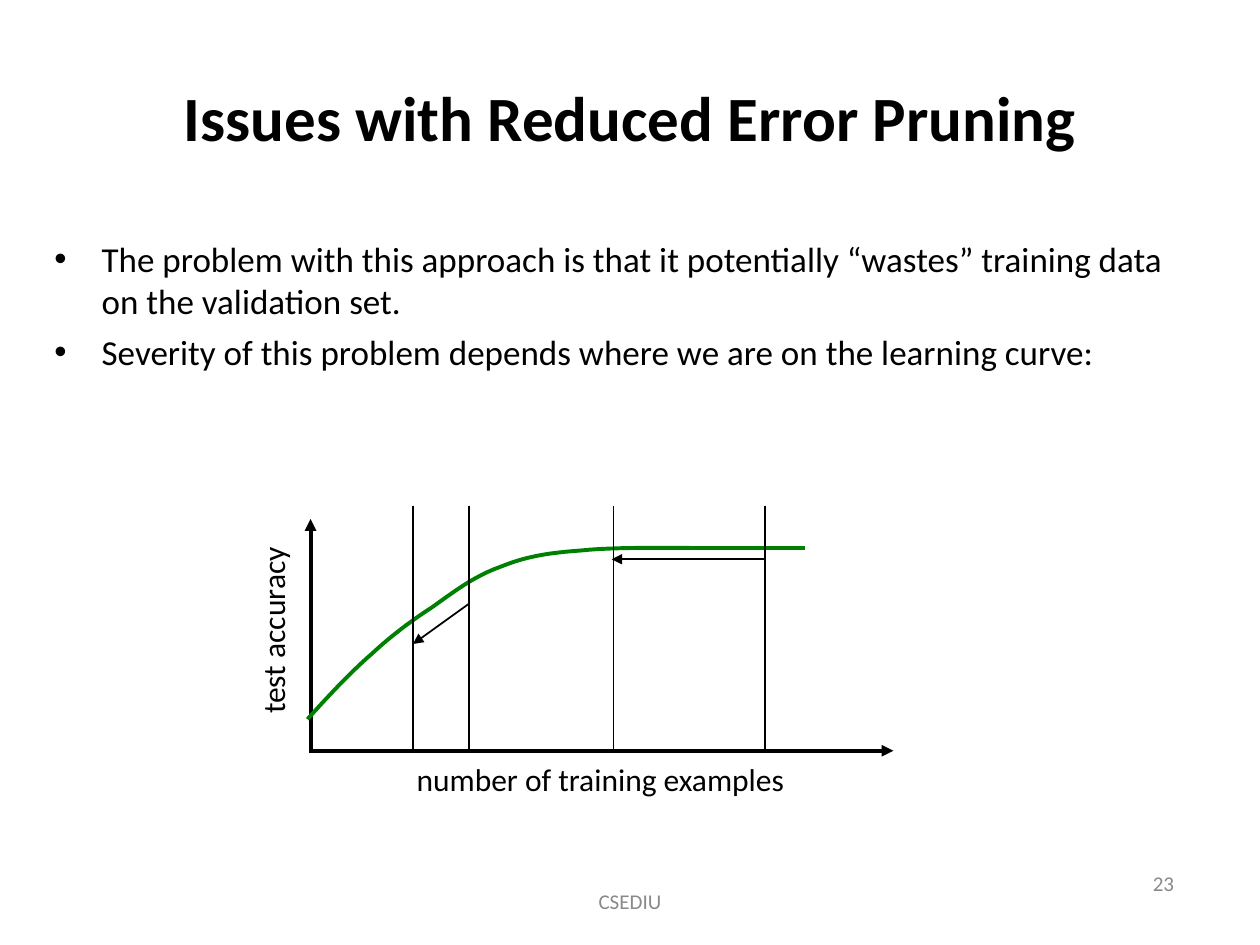
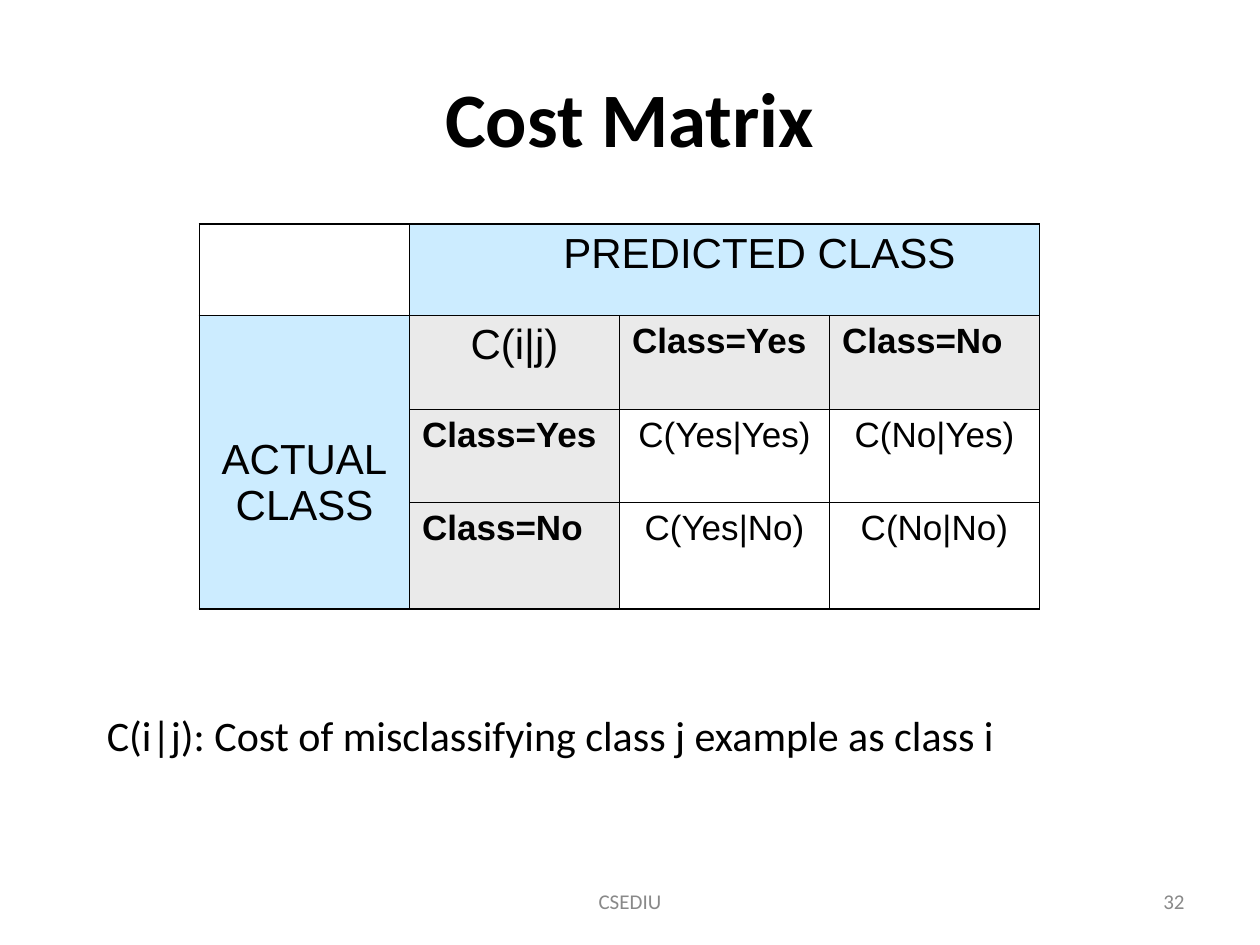
from dataclasses import dataclass
from typing import Optional

from lxml import etree
from pptx import Presentation
from pptx import util as u
from pptx.dml import color
from pptx.enum import shapes, text
from pptx.oxml import ns

Pt = u.Pt
RGB = color.RGBColor.from_string
ALIGN = text.PP_ALIGN
MIDDLE = text.MSO_ANCHOR.MIDDLE
NO_STYLE = "{2D5ABB26-0587-4C30-8999-92F81FD0307C}"


@dataclass(frozen=True)
class Theme:
    ink: str = "000000"
    muted: str = "898989"
    curve: str = "008000"
    band: str = "CCECFF"
    header: str = "EAEAEA"
    body_font: str = "Calibri"
    table_font: str = "Arial"
    title: float = 44
    long_title: float = 36
    large: float = 24
    body: float = 20
    axis: float = 18
    footer: float = 12
    thick: float = 2.25
    thin: float = 1
    frame: float = 1.08
    grid: float = 0.45


T = Theme()


@dataclass(frozen=True)
class Box:
    x: float
    y: float
    w: float
    h: float

    def emu(self) -> tuple:
        return Pt(self.x), Pt(self.y), Pt(self.w), Pt(self.h)


@dataclass(frozen=True)
class Line:
    x1: float
    y1: float
    x2: float
    y2: float
    width: float = T.thin
    arrow: bool = False


@dataclass(frozen=True)
class Entry:
    row: int
    col: int
    words: str
    size: float = T.body
    bold: bool = False
    align: ALIGN = ALIGN.CENTER
    fill: Optional[str] = None
    left: float = 7.2
    top: float = 3.6


TITLE = Box(36, 21.6, 648, 90)
FOOTER = Box(246, 500.4, 228, 28.8)


def add_xml(parent, tag: str, **attrs: str):
    return etree.SubElement(parent, ns.qn(tag), attrs)


def write(tf, words: str, *, size: float, font: str = T.body_font, ink: str = T.ink,
          bold: bool = False, align: ALIGN = ALIGN.LEFT, gap: float = 0,
          bullet: str = "", hang: float = 0) -> None:
    for i, line in enumerate(words.split("\n")):
        p = tf.paragraphs[0] if i == 0 else tf.add_paragraph()
        p.text = line
        p.alignment = align
        p.space_before = Pt(gap if i else 0)
        if bullet:
            ppr = p._p.get_or_add_pPr()
            ppr.set("marL", str(Pt(hang)))
            ppr.set("indent", str(-Pt(hang)))
            add_xml(ppr, "a:buFont", typeface="Arial")
            add_xml(ppr, "a:buChar", char=bullet)
        for r in p.runs:
            r.font.name, r.font.size, r.font.bold = font, Pt(size), bold
            r.font.color.rgb = RGB(ink)


def add_text(s, box: Box, words: str, *, wrap: bool = True, anchor=None,
             turn: float = 0, **style) -> None:
    sp = s.shapes.add_textbox(*box.emu())
    sp.rotation = turn
    tf = sp.text_frame
    tf.word_wrap = wrap
    if not wrap:
        tf.auto_size = text.MSO_AUTO_SIZE.SHAPE_TO_FIT_TEXT
    if anchor is not None:
        tf.vertical_anchor = anchor
    write(tf, words, **style)


def add_line(s, line: Line) -> None:
    c = s.shapes.add_connector(shapes.MSO_CONNECTOR.STRAIGHT, Pt(line.x1), Pt(line.y1),
                               Pt(line.x2), Pt(line.y2))
    c.line.width = Pt(line.width)
    c.line.color.rgb = RGB(T.ink)
    if line.arrow:
        add_xml(c.line._get_or_add_ln(), "a:tailEnd", type="triangle")
    add_xml(c._element.spPr, "a:effectLst")


def bezier(p0, p1, p2, p3, steps: int = 12) -> list:
    points = []
    for i in range(1, steps + 1):
        t = i / steps
        weights = (1 - t) ** 3, 3 * t * (1 - t) ** 2, 3 * t ** 2 * (1 - t), t ** 3
        points.append(tuple(Pt(sum(k * p[axis] for k, p in zip(weights, (p0, p1, p2, p3))))
                            for axis in (0, 1)))
    return points


def add_curve(s, knots: list) -> None:
    points = []
    for i in range(0, len(knots) - 1, 3):
        points += bezier(*knots[i:i + 4])
    builder = s.shapes.build_freeform(Pt(knots[0][0]), Pt(knots[0][1]))
    builder.add_line_segments(points, close=False)
    sp = builder.convert_to_shape()
    sp.shadow.inherit = False
    sp.fill.background()
    sp.line.color.rgb = RGB(T.curve)
    sp.line.width = Pt(T.thick)


def new_slide(prs, title: str, size: float, number: str, number_box: Box):
    s = prs.slides.add_slide(prs.slide_layouts[5])
    sp = s.shapes.title
    sp.left, sp.top, sp.width, sp.height = TITLE.emu()
    tf = sp.text_frame
    tf.auto_size = text.MSO_AUTO_SIZE.NONE
    tf.vertical_anchor = MIDDLE
    write(tf, title, size=size, bold=True, align=ALIGN.CENTER)
    for box, words, align in ((FOOTER, "CSEDIU", ALIGN.CENTER),
                              (number_box, number, ALIGN.RIGHT)):
        add_text(s, box, words, anchor=MIDDLE, size=T.footer, ink=T.muted, align=align)
    return s


def set_borders(cell, row: int, col: int, rows: int, cols: int) -> None:
    height = cell.span_height if cell.is_merge_origin else 1
    width = cell.span_width if cell.is_merge_origin else 1
    outer = {"L": col == 0, "R": col + width == cols, "T": row == 0, "B": row + height == rows}
    tcpr = cell._tc.get_or_add_tcPr()
    for side, on_frame in outer.items():
        ln = add_xml(tcpr, f"a:ln{side}", w=str(Pt(T.frame if on_frame else T.grid)))
        add_xml(add_xml(ln, "a:solidFill"), "a:srgbClr", val=T.ink)


def add_cost_table(s, box: Box, heights: list, cols: int, entries: list) -> None:
    rows = len(heights)
    tbl = s.shapes.add_table(rows, cols, *box.emu()).table
    tbl.first_row = tbl.horz_banding = False
    tbl._tbl.tblPr.find(ns.qn("a:tableStyleId")).text = NO_STYLE
    for row, height in zip(tbl.rows, heights):
        row.height = Pt(height)
    for column in tbl.columns:
        column.width = Pt(box.w / cols)
    tbl.cell(0, 1).merge(tbl.cell(0, cols - 1))
    tbl.cell(1, 0).merge(tbl.cell(rows - 1, 0))
    for row in range(rows):
        for col in range(cols):
            cell = tbl.cell(row, col)
            if not cell.is_spanned:
                set_borders(cell, row, col, rows, cols)
                cell.fill.background()
    for e in entries:
        cell = tbl.cell(e.row, e.col)
        cell.margin_left, cell.margin_top = Pt(e.left), Pt(e.top)
        if e.fill:
            cell.fill.solid()
            cell.fill.fore_color.rgb = RGB(e.fill)
        write(cell.text_frame, e.words, size=e.size, font=T.table_font,
              bold=e.bold, align=e.align)


def pruning_slide(prs) -> None:
    s = new_slide(prs, "Issues with Reduced Error Pruning", T.long_title, "23",
                  Box(450, 486, 228, 37.5))
    add_text(s, Box(24, 132, 648, 356),
             "The problem with this approach is that it potentially “wastes” training data "
             "on the validation set.\n"
             "Severity of this problem depends where we are on the learning curve:",
             size=T.body, gap=5, bullet="•", hang=27)
    base, top = 429, 289
    add_line(s, Line(177.5, base, 177.5, 296.6, T.thick, True))
    add_line(s, Line(176.5, base, 510.5, base, T.thick, True))
    add_curve(s, [(175.7, 411), (188, 397.4), (200, 384.5), (212.4, 373.7),
                  (224, 363), (234.7, 355), (247, 347),
                  (259, 338.4), (271.4, 329), (285.8, 324),
                  (300, 318.2), (312.5, 316), (332, 314.6),
                  (352, 312.5), (383, 313.2), (404.6, 313.2),
                  (426, 313.2), (443, 313.2), (460, 313.2)])
    for x in (236, 268, 350.6, 437.2):
        add_line(s, Line(x, top, x, base))
    add_line(s, Line(268, 345, 236, 368, arrow=True))
    add_line(s, Line(437.2, 319.6, 349.5, 319.6, arrow=True))
    add_text(s, Box(100.8, 345.6, 110, 28.8), "test accuracy", wrap=False, turn=270,
             size=T.axis)
    add_text(s, Box(231, 430.6, 225.4, 28.8), "number of training examples", wrap=False,
             size=T.axis)


def cost_slide(prs) -> None:
    s = new_slide(prs, "Cost Matrix", T.title, "32", Box(516, 500.4, 168, 28.8))
    entries = [
        Entry(0, 1, "PREDICTED CLASS", T.large, fill=T.band, left=47.2),
        Entry(1, 0, "ACTUAL\vCLASS", T.large, fill=T.band, top=69),
        Entry(1, 1, "C(i|j)", T.large, fill=T.header),
    ]
    classes = ("Yes", "No")
    for i, actual in enumerate(classes, start=2):
        for row, col in ((1, i), (i, 1)):
            entries.append(Entry(row, col, f"Class={actual}", bold=True,
                                 align=ALIGN.LEFT, fill=T.header))
        for j, predicted in enumerate(classes, start=2):
            entries.append(Entry(i, j, f"C({predicted}|{actual})"))
    add_cost_table(s, Box(114, 128, 480, 220), [52.2, 53.8, 53, 61], 4, entries)
    add_text(s, Box(54, 402, 618, 72),
             "C(i|j): Cost of misclassifying class j example as class i", size=T.large)


def main() -> None:
    prs = Presentation()
    prs.slide_width, prs.slide_height = Pt(720), Pt(540)
    pruning_slide(prs)
    cost_slide(prs)
    prs.save("out.pptx")


if __name__ == "__main__":
    main()
